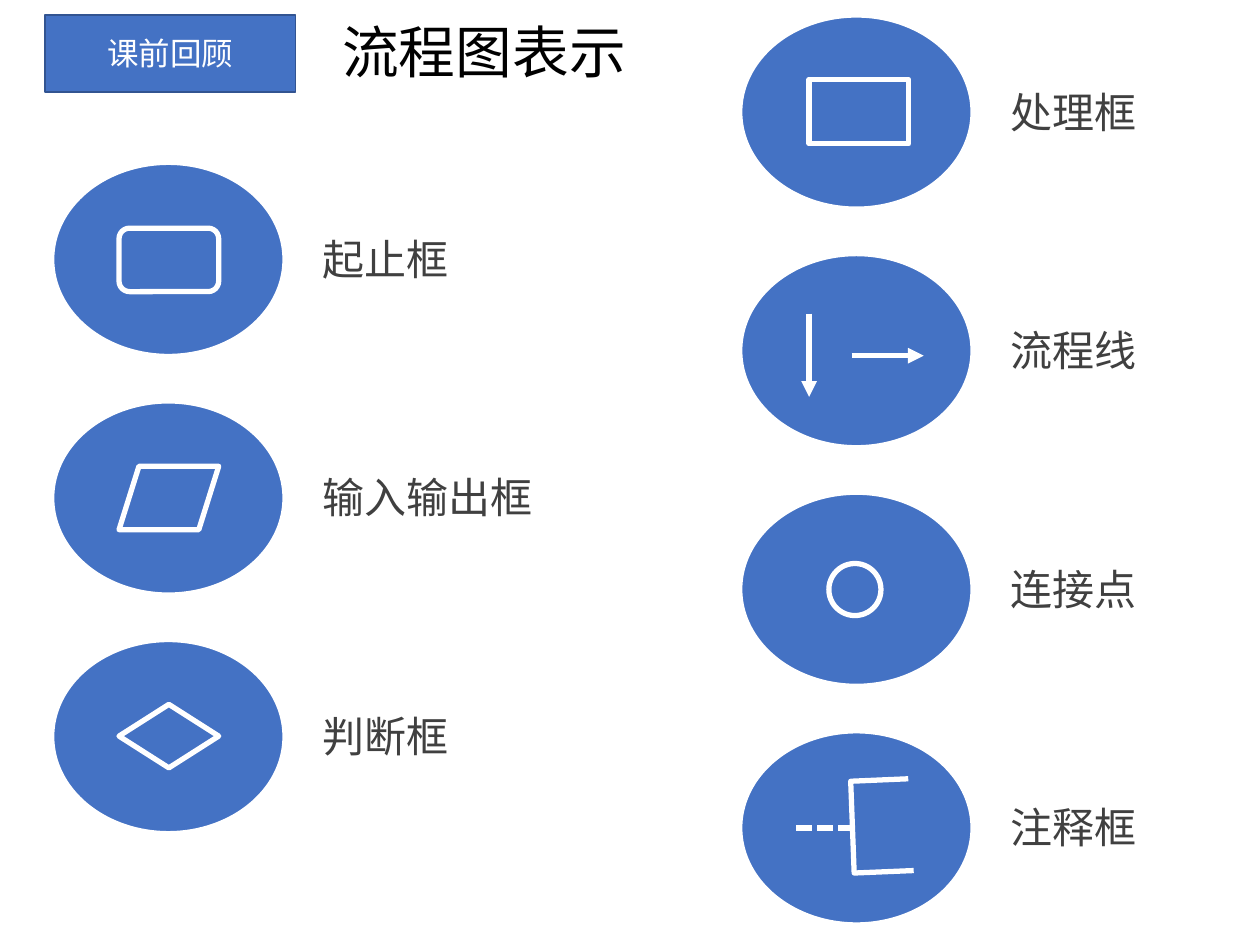
"""Build the flowchart symbol review slide."""
import lxml.etree
import pptx
import pptx.dml.color
import pptx.enum.dml
import pptx.enum.shapes
import pptx.enum.text
import pptx.oxml.ns
import pptx.util

Cm = pptx.util.Cm
Pt = pptx.util.Pt
RGBColor = pptx.dml.color.RGBColor
SHAPE = pptx.enum.shapes.MSO_SHAPE
ANCHOR = pptx.enum.text.MSO_ANCHOR
qn = pptx.oxml.ns.qn

BLUE = RGBColor(0x44, 0x72, 0xC4)
DARK_BLUE = RGBColor(0x32, 0x54, 0x91)
WHITE = RGBColor(0xFF, 0xFF, 0xFF)
BLACK = RGBColor(0x00, 0x00, 0x00)
GREY = RGBColor(0x40, 0x40, 0x40)

DISC_WIDTH, DISC_HEIGHT, PITCH = 4.65, 3.86, 4.81
LABEL_RIGHT, LABEL_DOWN = 5.18, 1.28

deck = pptx.Presentation()
deck.slide_width, deck.slide_height = Cm(25.4), Cm(19.05)
slide = deck.slides.add_slide(deck.slide_layouts[6])
shapes = slide.shapes


def paint(part, fill, line, width):
    part.shadow.inherit = False
    if fill is None:
        part.fill.background()
    else:
        part.fill.solid()
        part.fill.fore_color.rgb = fill
    part.line.color.rgb = line
    part.line.width = Pt(width)


def write(part, words, size, color, frame_format):
    frame = part.text_frame
    frame.text = words
    for name, value in frame_format.items():
        setattr(frame, name, value)
    font = frame.paragraphs[0].runs[0].font
    for name, value in {"name": "Calibri", "size": Pt(size)}.items():
        setattr(font, name, value)
    font.color.rgb = color
    return frame.paragraphs[0]


title = shapes.add_textbox(Cm(6.65), Cm(0.33), Cm(7.77), Cm(1.55))
title_format = {"word_wrap": True, "vertical_anchor": ANCHOR.MIDDLE}
write(title, "流程图表示", 32.4, BLACK, title_format).line_spacing = 0.9

columns = [
    (1.07, 3.3, [("起止框", 4.22), ("输入输出框", 5.05), ("判断框", 4.22)]),
    (14.94, 0.33, [("处理框", 4.22), ("流程线", 4.22), ("连接点", 4.22), ("注释框", 4.22)]),
]
label_format = {
    "word_wrap": True,
    "auto_size": pptx.enum.text.MSO_AUTO_SIZE.SHAPE_TO_FIT_TEXT,
}
for left, top, symbols in columns:
    for row, (meaning, label_width) in enumerate(symbols):
        disc_top = top + row * PITCH
        disc = shapes.add_shape(
            SHAPE.OVAL, Cm(left), Cm(disc_top), Cm(DISC_WIDTH), Cm(DISC_HEIGHT)
        )
        paint(disc, BLUE, WHITE, 1.5)
        label = shapes.add_textbox(
            Cm(left + LABEL_RIGHT), Cm(disc_top + LABEL_DOWN), Cm(label_width), Cm(1.28)
        )
        write(label, meaning, 24, GREY, label_format)

outlines = [
    (SHAPE.FLOWCHART_ALTERNATE_PROCESS, 2.4, 4.6, 2.01, 1.28),
    (SHAPE.FLOWCHART_DATA, 2.4, 9.4, 2.01, 1.28),
    (SHAPE.FLOWCHART_DECISION, 2.4, 14.2, 2.01, 1.28),
    (SHAPE.FLOWCHART_PROCESS, 16.31, 1.6, 2.01, 1.3),
    (SHAPE.FLOWCHART_CONNECTOR, 16.71, 11.36, 1.05, 1.05),
]
for kind, *box in outlines:
    paint(shapes.add_shape(kind, *map(Cm, box)), None, WHITE, 3)

strokes = [
    ((16.31, 6.32, 16.31, 8.0), True),
    ((17.17, 7.17, 18.62, 7.17), True),
    ((16.05, 16.69, 17.17, 16.69), False),
]
for ends, is_flow in strokes:
    stroke = shapes.add_connector(
        pptx.enum.shapes.MSO_CONNECTOR.STRAIGHT, *map(Cm, ends)
    )
    stroke.line.color.rgb = WHITE
    stroke.line.width = Pt(3)
    properties = stroke._element.spPr
    if is_flow:
        lxml.etree.SubElement(properties.find(qn("a:ln")), qn("a:tailEnd"), type="triangle")
    else:
        stroke.line.dash_style = pptx.enum.dml.MSO_LINE.SQUARE_DOT
    lxml.etree.SubElement(properties, qn("a:effectLst"))

bracket_points = [(18.31, 15.7), (17.15, 15.75), (17.22, 17.6), (18.42, 17.55)]
start, *corners = [(Cm(x), Cm(y)) for x, y in bracket_points]
bracket = shapes.build_freeform(*start)
bracket.add_line_segments(corners, close=False)
paint(bracket.convert_to_shape(), None, WHITE, 3)

badge = shapes.add_shape(SHAPE.RECTANGLE, Cm(0.91), Cm(0.3), Cm(5.05), Cm(1.55))
paint(badge, BLUE, DARK_BLUE, 1)
badge_text = write(badge, "课前回顾", 18, WHITE, {"vertical_anchor": ANCHOR.MIDDLE})
badge_text.alignment = pptx.enum.text.PP_ALIGN.CENTER

deck.save("out.pptx")
